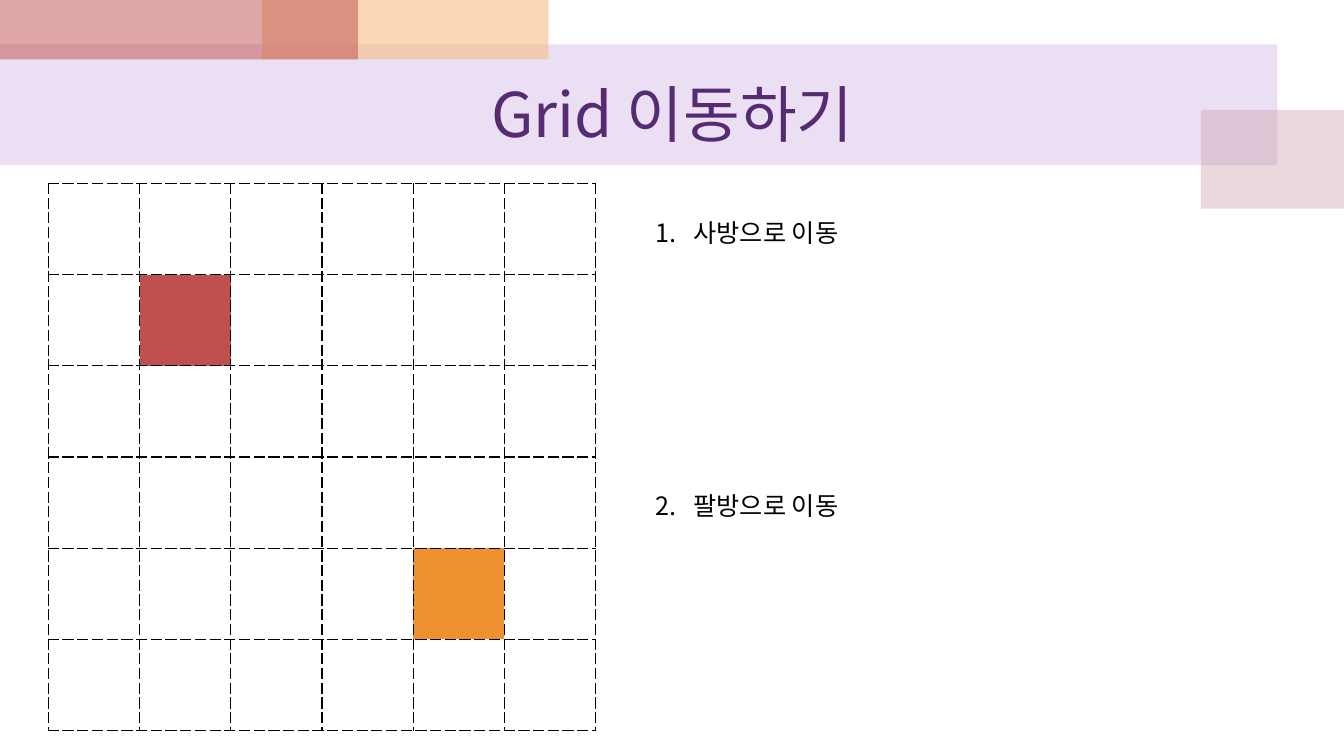
from lxml.etree import SubElement
from pptx import Presentation
from pptx.dml.color import RGBColor
from pptx.enum.shapes import MSO_SHAPE
from pptx.enum.text import MSO_ANCHOR, MSO_AUTO_SIZE, PP_ALIGN
from pptx.oxml import parse_xml
from pptx.oxml.ns import nsdecls, qn
from pptx.util import Inches, Pt

FONT = "Noto Sans CJK KR"
BLACK = RGBColor(0x00, 0x00, 0x00)
WHITE = RGBColor(0xFF, 0xFF, 0xFF)
LILAC = RGBColor(0xBF, 0x98, 0xD8)
ROSE = RGBColor(0xCC, 0x9E, 0xAC)
PEACH = RGBColor(0xF5, 0xBC, 0x83)
RED = RGBColor(0xC0, 0x50, 0x4D)
ORANGE = RGBColor(0xEF, 0x90, 0x31)
PURPLE = RGBColor(0x56, 0x2B, 0x71)

GRID_SIZE = 6
CELL = Inches(0.905)
MARKED_CELLS = {(1, 1): RED, (4, 4): ORANGE}


def style_run(r, size, color):
    r.font.size = Pt(size)
    r.font.color.rgb = color
    r.font.name = FONT
    SubElement(r.font._element, qn("a:ea")).set("typeface", FONT)


def add_dashed_borders(cell):
    tc_pr = cell._tc.get_or_add_tcPr()
    for i, side in enumerate(("lnL", "lnR", "lnT", "lnB")):
        tc_pr.insert(i, parse_xml(
            f'<a:{side} {nsdecls("a")} w="12700"><a:solidFill>'
            f'<a:srgbClr val="{BLACK}"/></a:solidFill>'
            f'<a:prstDash val="sysDash"/></a:{side}>'))


prs = Presentation()
prs.slide_width, prs.slide_height = Inches(13.33), Inches(7.5)
s = prs.slides.add_slide(prs.slide_layouts[5])

# Translucent header bands: left, top, width, height, colour, opacity in percent
bands = [
    (0, 0.44, 12.67, 1.2, LILAC, 30),
    (11.91, 1.09, 1.42, 0.98, ROSE, 40),
    (2.6, 0, 2.84, 0.59, PEACH, 60),
    (0, 0, 3.55, 0.59, RED, 50),
]
for *box, color, opacity in bands:
    sp = s.shapes.add_shape(MSO_SHAPE.RECTANGLE, *map(Inches, box))
    sp.shadow.inherit = False
    sp.line.fill.background()
    sp.fill.solid()
    sp.fill.fore_color.rgb = color
    srgb = sp._element.spPr.find(qn("a:solidFill"))[0]
    SubElement(srgb, qn("a:alpha")).set("val", str(opacity * 1000))

# Title, brought in front of the bands
title = s.shapes.title
title._element.getparent().append(title._element)
title.left, title.top = Inches(0.67), Inches(0.59)
title.width, title.height = Inches(12), Inches(1.05)
tf = title.text_frame
tf.text = "Grid 이동하기"
tf.vertical_anchor = MSO_ANCHOR.MIDDLE
tf.paragraphs[0].alignment = PP_ALIGN.CENTER
style_run(tf.paragraphs[0].runs[0], 44, PURPLE)

# Movement grid
table = s.shapes.add_table(GRID_SIZE, GRID_SIZE, Inches(0.48), Inches(1.82),
                           CELL * GRID_SIZE, CELL * GRID_SIZE).table
for i in range(GRID_SIZE):
    table.columns[i].width = table.rows[i].height = CELL
    for j in range(GRID_SIZE):
        cell = table.cell(i, j)
        cell.fill.solid()
        cell.fill.fore_color.rgb = MARKED_CELLS.get((i, j), WHITE)
        add_dashed_borders(cell)

# Numbered kinds of movement
tf = s.shapes.add_textbox(Inches(6.4), Inches(2.11), Inches(2.17), Inches(3.13)).text_frame
tf.word_wrap = False
tf.auto_size = MSO_AUTO_SIZE.SHAPE_TO_FIT_TEXT
tf.text = "사방으로 이동\n팔방으로 이동"
for p in tf.paragraphs:
    p.line_spacing = Pt(21.7)
    p_pr = p._p.get_or_add_pPr()
    p_pr.set("marL", str(Inches(0.38)))
    p_pr.set("indent", str(-Inches(0.38)))
    SubElement(p_pr, qn("a:buFont")).set("typeface", FONT)
    SubElement(p_pr, qn("a:buAutoNum")).set("type", "arabicPeriod")
    style_run(p.runs[0], 18, BLACK)
tf.paragraphs[1].space_before = Pt(173.3)

prs.save("out.pptx")
